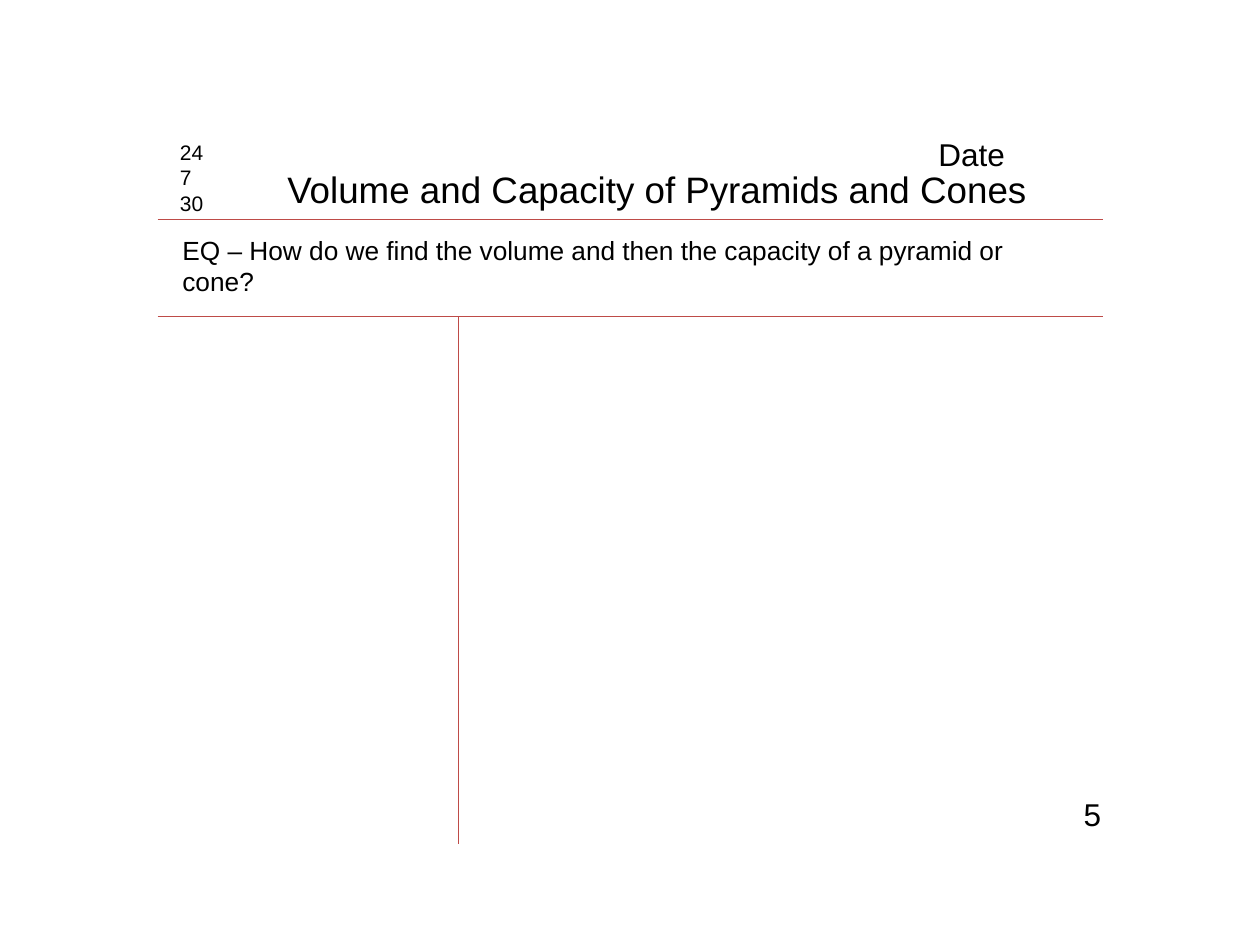
from collections import namedtuple
from lxml.etree import SubElement
from pptx import Presentation
from pptx.dml.color import RGBColor as Rgb
from pptx.enum.shapes import MSO_CONNECTOR as Link
from pptx.enum.text import MSO_ANCHOR as Anchor, MSO_AUTO_SIZE as Fit, PP_ALIGN as Align
from pptx.oxml.ns import qn
from pptx.util import Inches, Pt

Theme = namedtuple("Theme", "face ink rule line title large body small")
THEME = Theme("Arial", Rgb(0, 0, 0), Rgb(0xBE, 0x4B, 0x48), Pt(0.75),
              Pt(21), Pt(18), Pt(15), Pt(12))
Box = namedtuple("Box", "left top width height")


def part(box, left, top, width, height):
    """Give the part of a box that is set out in percent of its size."""
    return Box(int(box.left + box.width * left / 100),
               int(box.top + box.height * top / 100),
               int(box.width * width / 100), int(box.height * height / 100))


def apply(target, values):
    for name, value in values.items():
        setattr(target, name, value)


def write(shape, box, lines, size, wrap=True, inset=0.1):
    apply(shape, box._asdict())
    frame = shape.text_frame
    frame.text = "\n".join(lines)
    apply(frame, {
        "word_wrap": wrap, "auto_size": Fit.NONE, "vertical_anchor": Anchor.TOP,
        "margin_left": Inches(inset), "margin_right": Inches(0.1),
        "margin_top": Inches(0.05), "margin_bottom": Inches(0.05)})
    for para in frame.paragraphs:
        para.alignment = Align.LEFT
        apply(para.font, {"name": THEME.face, "size": size})
        para.font.color.rgb = THEME.ink


def label(slide, box, lines, size, **style):
    write(slide.shapes.add_textbox(*box), box, lines, size, **style)


def rule(slide, box):
    """Draw a line from the top left to the bottom right of a box."""
    line = slide.shapes.add_connector(
        Link.STRAIGHT, box.left, box.top,
        box.left + box.width, box.top + box.height)
    line.line.color.rgb = THEME.rule
    line.line.width = THEME.line
    SubElement(line._element.spPr, qn("a:effectLst"))


def header(slide, box):
    # Title, list of numbers and date above a rule
    write(slide.shapes.title, part(box, 12.4, 34.72, 81.07, 62.5),
          ["Volume and Capacity of Pyramids and Cones"], THEME.title, wrap=False)
    label(slide, part(box, 1.07, 5.56, 6.27, 97.22), ["24", "7", "30"], THEME.small)
    label(slide, part(box, 81.33, 0, 17.33, 55.56), ["Date"], THEME.large)
    rule(slide, part(box, 0, 100, 100, 0))


def question(slide, box):
    # Essential question above a rule
    label(slide, part(box, 1.33, 9.09, 94.27, 77.92),
          ["EQ – How do we find the volume and then the capacity of a pyramid or cone?"],
          THEME.body)
    rule(slide, part(box, 0, 100, 100, 0))


def notes(slide, box):
    # Column divider and page number
    rule(slide, part(box, 31.87, 0, 0, 100))
    label(slide, part(box, 95.73, 89.5, 6, 9.55), ["5"], THEME.large, inset=0.17)


def main():
    deck = Presentation()
    deck.slide_width, deck.slide_height = Inches(10), Inches(7.5)
    slide = deck.slides.add_slide(deck.slide_layouts[5])
    page = Box(0, 0, deck.slide_width, deck.slide_height)
    header(slide, part(page, 12.5, 13.6, 75, 9.6))
    question(slide, part(page, 12.5, 23.2, 75, 10.27))
    notes(slide, part(page, 12.5, 33.47, 75, 55.87))
    deck.save("out.pptx")


if __name__ == "__main__":
    main()
